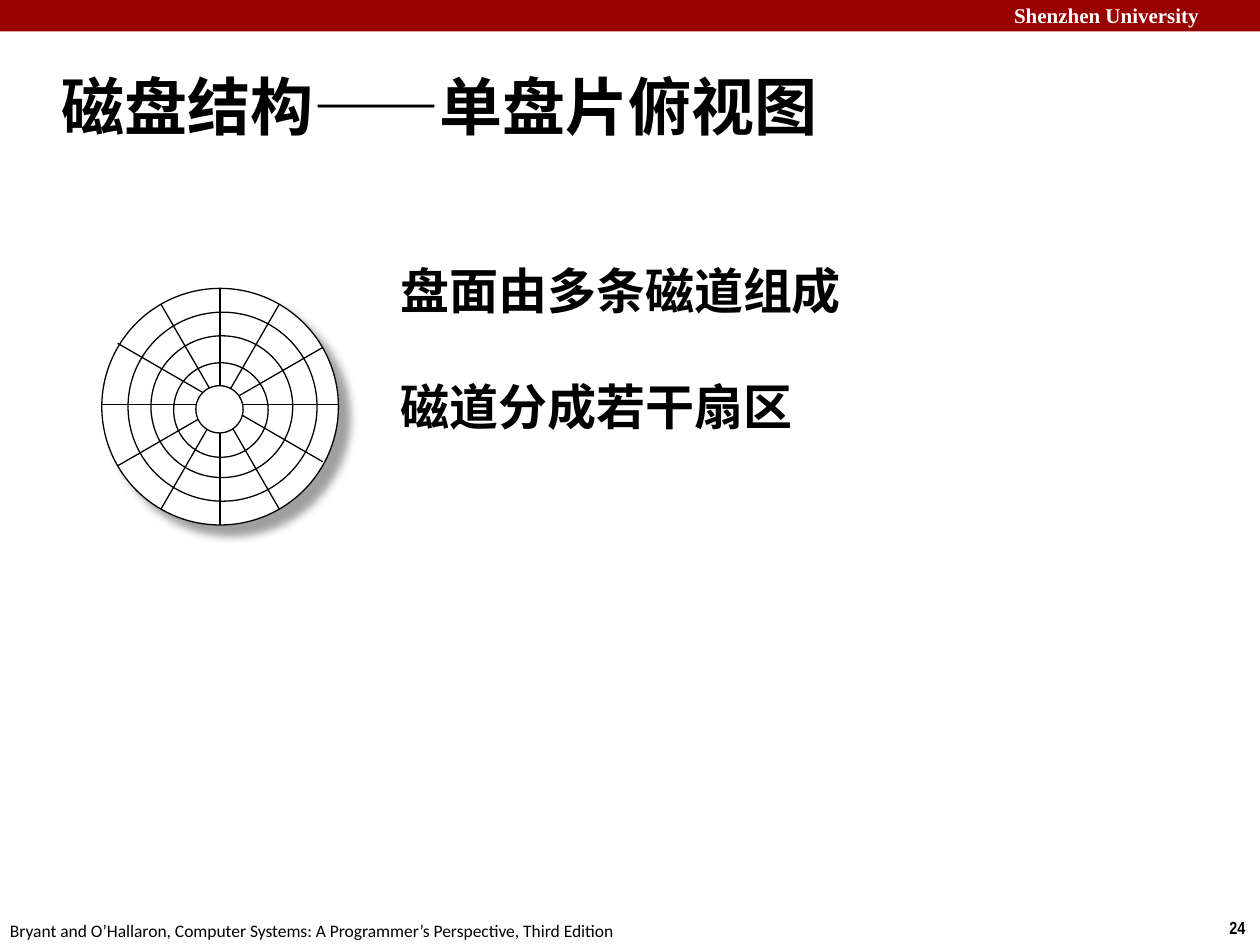
from math import cos, radians, sin

from lxml.etree import SubElement
from pptx import Presentation
from pptx.dml.color import RGBColor
from pptx.enum.shapes import MSO_CONNECTOR, MSO_SHAPE
from pptx.enum.text import MSO_ANCHOR, MSO_AUTO_SIZE, PP_ALIGN
from pptx.oxml.ns import qn
from pptx.util import Pt

RED = RGBColor(0x99, 0x00, 0x00)
WHITE = RGBColor(0xFF, 0xFF, 0xFF)
BLACK = RGBColor(0x00, 0x00, 0x00)
SHADOW_GREY = RGBColor(0x80, 0x80, 0x80)

HEADER_FONT = {"name": "Times New Roman", "size": Pt(12), "bold": True}
TITLE_FONT = {"name": "Calibri", "size": Pt(36), "bold": True}
LABEL_FONT = {"name": "Arial", "size": Pt(28), "bold": True}
NUMBER_FONT = {"name": "Arial Narrow", "size": Pt(10), "bold": True}
FOOTER_FONT = {"name": "Calibri", "size": Pt(10), "bold": False}

LINE_WIDTH = Pt(0.75)
# Spoke angle in degrees and its shift upwards in points
SPOKES = [(90, 0), (60, 0), (30, 0), (0, 1.4), (-30, 2.4), (-60, 0)]
# Track diameter and the shift of its centre right and down, in points
TRACKS = [(108, 1.4, 0), (81, 1, 0), (54, 0.4, 1.9)]
HUB = (27, -0.4, 1.5)


def write(frame, text, font_format, color=BLACK):
    """Put one formatted line into a text frame."""
    para = frame.paragraphs[0]
    para.alignment = PP_ALIGN.LEFT
    span = para.add_run()
    span.text = text
    for name, value in font_format.items():
        setattr(span.font, name, value)
    span.font.color.rgb = color
    return para


def add_text(page, box, text, font_format, color=BLACK, **frame_format):
    frame = page.shapes.add_textbox(*map(Pt, box)).text_frame
    frame.word_wrap = True
    for name, value in frame_format.items():
        setattr(frame, name, value)
    write(frame, text, font_format, color)


def add_header(page, box):
    left, top, width, height = box
    band = page.shapes.add_shape(MSO_SHAPE.RECTANGLE, *map(Pt, box))
    band.shadow.inherit = False
    band.fill.solid()
    band.fill.fore_color.rgb = RED
    band.line.fill.background()
    add_text(page, (left + width - 147.6, top - 2.2, 152.6, 21.6),
             "Shenzhen University", HEADER_FONT, WHITE)


def add_title(page, box):
    title = page.shapes.title
    title.left, title.top, title.width, title.height = map(Pt, box)
    frame = title.text_frame
    frame.auto_size = MSO_AUTO_SIZE.NONE
    frame.vertical_anchor = MSO_ANCHOR.MIDDLE
    para = write(frame, "磁盘结构——单盘片俯视图", TITLE_FONT)
    properties = para._p.get_or_add_pPr()
    properties.set("marL", str(Pt(9.4)))
    properties.set("indent", str(Pt(-9.4)))


def add_circle(page, center_x, center_y, diameter, filled):
    radius = diameter / 2
    circle = page.shapes.add_shape(
        MSO_SHAPE.OVAL, Pt(center_x - radius), Pt(center_y - radius),
        Pt(diameter), Pt(diameter))
    circle.shadow.inherit = False
    if filled:
        circle.fill.solid()
        circle.fill.fore_color.rgb = WHITE
    else:
        circle.fill.background()
    circle.line.color.rgb = BLACK
    circle.line.width = LINE_WIDTH
    return circle


def add_drop_shadow(shape):
    effects = shape._element.spPr.find(qn("a:effectLst"))
    shadow = SubElement(effects, qn("a:outerShdw"), blurRad=str(Pt(5)),
                        dist=str(Pt(8.5)), dir=str(45 * 60000),
                        algn="ctr", rotWithShape="0")
    color = SubElement(shadow, qn("a:srgbClr"), val=str(SHADOW_GREY))
    SubElement(color, qn("a:alpha"), val="75000")


def add_spoke(page, start, end):
    spoke = page.shapes.add_connector(
        MSO_CONNECTOR.STRAIGHT, *map(Pt, start + end))
    spoke.line.color.rgb = BLACK
    spoke.line.width = LINE_WIDTH
    SubElement(spoke._element.spPr, qn("a:effectLst"))


def add_platter(page, box):
    left, top, width, height = box
    center_x, center_y = left + width / 2, top + height / 2

    # Disk surface
    add_drop_shadow(add_circle(page, center_x, center_y, width, True))

    # Sector borders
    for angle, rise in SPOKES:
        across = width / 2 * cos(radians(angle))
        up = width / 2 * sin(radians(angle))
        middle = center_y - rise
        add_spoke(page, (center_x + across, middle - up),
                  (center_x - across, middle + up))

    # Hub and tracks
    for diameter, right, down in [HUB] + TRACKS:
        add_circle(page, center_x + right, center_y + down, diameter,
                   filled=diameter == HUB[0])


def add_labels(page, box):
    left, top, width, height = box
    labels = ["盘面由多条磁道组成", "磁道分成若干扇区"]
    step = height / len(labels)
    for row, label in enumerate(labels):
        add_text(page, (left, top + row * step, width, step), label,
                 LABEL_FONT, vertical_anchor=MSO_ANCHOR.BOTTOM)


def add_footer(page, box):
    left, top, width, height = box
    fit = {"word_wrap": False, "auto_size": MSO_AUTO_SIZE.SHAPE_TO_FIT_TEXT}
    add_text(page, (left + width - 24.5, top - 1.4, 24.5, height), "24",
             NUMBER_FONT, **fit)
    add_text(page, (left - 1.4, top, 366.5, height),
             "Bryant and O’Hallaron, Computer Systems: "
             "A Programmer’s Perspective, Third Edition", FOOTER_FONT, **fit)


def main():
    deck = Presentation()
    deck.slide_width, deck.slide_height = Pt(720), Pt(540)
    page = deck.slides.add_slide(deck.slide_layouts[5])
    add_header(page, (0, 0, 720, 18))
    add_title(page, (28, 30.2, 668, 59.8))
    add_platter(page, (58.2, 164.8, 135.2, 135.2))
    add_labels(page, (221.8, 120, 450, 132.4))
    add_footer(page, (0, 522, 720, 19.4))
    deck.save("out.pptx")


if __name__ == "__main__":
    main()
